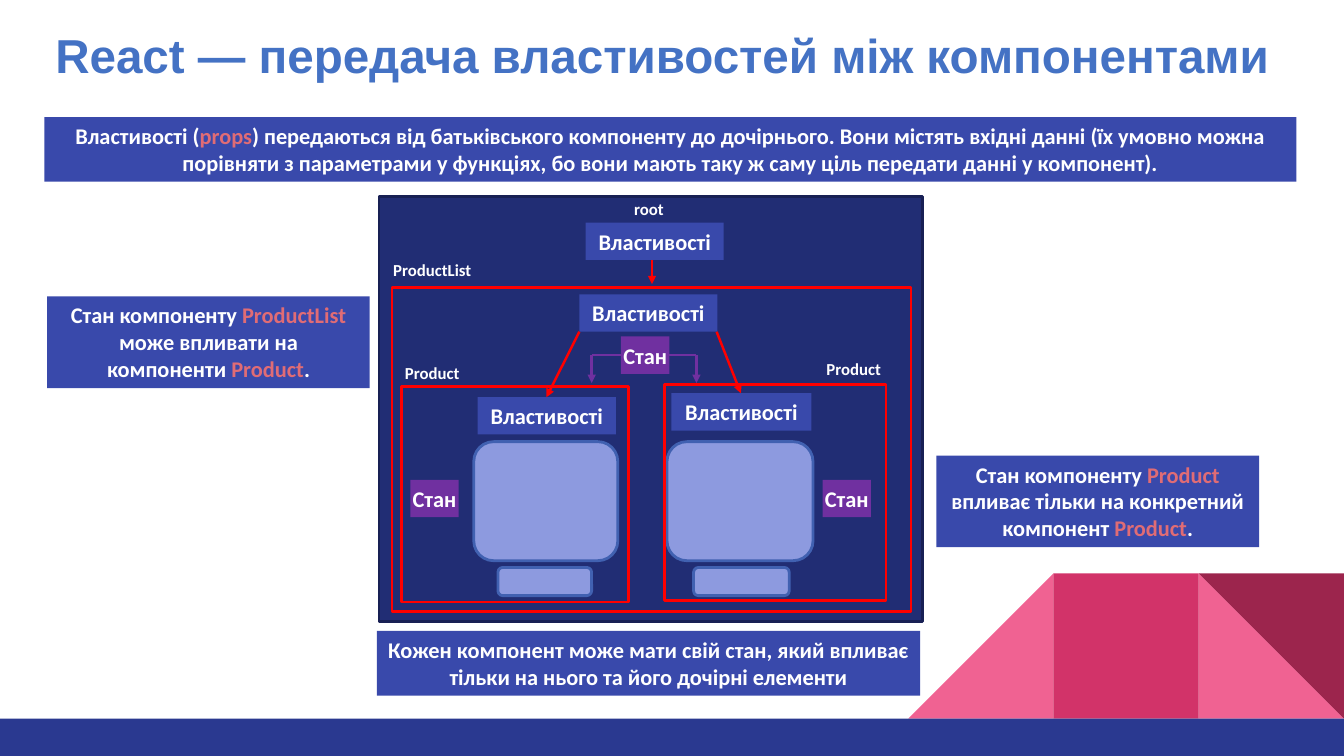
from lxml import etree
from pptx import Presentation
from pptx.dml.color import RGBColor
from pptx.enum.shapes import MSO_CONNECTOR, MSO_SHAPE
from pptx.enum.text import MSO_ANCHOR, MSO_AUTO_SIZE, PP_ALIGN
from pptx.oxml.ns import qn
from pptx.util import Cm, Pt

RECTANGLE = MSO_SHAPE.RECTANGLE
ROUNDED = MSO_SHAPE.ROUNDED_RECTANGLE
TRIANGLE = MSO_SHAPE.RIGHT_TRIANGLE

# Colours
WHITE, TITLE_BLUE, BOX_BLUE, BAND_BLUE = "FFFFFF", "4472C4", "3949AB", "2A3990"
CORAL, RED, PURPLE = "E06C75", "FF0000", "7030A0"
PANEL, PANEL_EDGE, SCREEN, SCREEN_EDGE = "212D74", "182054", "8D9ADF", "4161B1"
PINK, CRIMSON, MAROON = "F06292", "D23369", "9C254D"

# Content: lengths in centimetres, boxes as (left, top, width, height)
SLIDE_WIDTH, SLIDE_HEIGHT = 33.87, 19.05
TITLE = "React — передача властивостей між компонентами"
TITLE_BOX = (1.14, 0.33, 31.55, 2.26)

NOTES = [
    ((1.12, 2.95, 31.55, 1.63), [
        ("Властивості (", WHITE), ("props", CORAL),
        (") передаються від батьківського компоненту до дочірнього. "
         "Вони містять вхідні данні (їх умовно можна порівняти з параметрами "
         "у функціях, бо вони мають таку ж саму ціль передати данні "
         "у компонент).", WHITE)]),
    ((9.5, 15.9, 13.69, 1.63), [
        ("Кожен компонент може мати свій стан, який впливає тільки на нього "
         "та його дочірні елементи", WHITE)]),
    ((1.19, 7.47, 8.13, 2.31), [
        ("Стан компоненту ", WHITE), ("ProductList", CORAL),
        (" може впливати на компоненти ", WHITE), ("Product", CORAL),
        (".", WHITE)]),
    ((23.6, 11.48, 8.13, 2.31), [
        ("Стан компоненту ", WHITE), ("Product", CORAL),
        (" впливає тільки на конкретний компонент ", WHITE),
        ("Product", CORAL), (".", WHITE)]),
]

PANEL_BOX = (9.55, 4.95, 13.69, 10.72)
PRODUCT_PARTS = [
    (11.94, 11.13, 3.63, 3.0), (12.55, 14.3, 2.36, 0.71),
    (16.81, 11.13, 3.68, 3.0), (17.48, 14.3, 2.41, 0.71),
]
FRAMES = [
    (9.88, 7.24, 13.08, 8.18),
    (10.11, 9.73, 5.74, 5.44),
    (16.74, 9.7, 5.59, 5.44),
]
LABELS = [
    ("root", 15.57, 5.0, 1.57),
    ("ProductList", 9.88, 6.55, 2.03),
    ("Product", 10.11, 9.14, 1.57),
    ("Product", 20.73, 9.04, 1.57),
]
LABEL_HEIGHT, TAG_HEIGHT = 0.51, 0.94
PROPS_TEXT, STATE_TEXT = "Властивості", "Стан"
PROPS_TAGS = [(14.76, 5.61, 3.48), (14.6, 7.42, 3.48),
              (12.04, 10.01, 3.48), (16.92, 9.91, 3.53)]
STATE_TAGS = [(15.65, 8.48), (10.34, 12.09), (20.73, 12.09)]
STATE_WIDTH = 1.22
PROPS_ARROWS = [
    (16.43, 6.55, 16.43, 7.16),
    (14.6, 8.36, 13.77, 10.01),
    (18.06, 8.36, 18.67, 9.91),
]
STATE_BRANCHES = [(15.65, 14.91), (16.81, 17.55)]  # from tag edge to drop
BRANCH_TOP, BRANCH_BOTTOM = 8.94, 9.65


def color(value):
    return RGBColor.from_string(value)


def add_box(shapes, kind, box, fill=None, edge=None):
    shape = shapes.add_shape(kind, *[Cm(length) for length in box])
    shape.shadow.inherit = False
    if fill:
        shape.fill.solid()
        shape.fill.fore_color.rgb = color(fill)
    else:
        shape.fill.background()
    if edge:
        shape.line.color.rgb = color(edge)
        shape.line.width = Pt(2)
    else:
        shape.line.fill.background()
    return shape


def add_run(paragraph, text, size, font_name, font_color):
    run = paragraph.add_run()
    run.text = text
    run.font.size = Pt(size)
    run.font.name = font_name
    run.font.bold = True
    run.font.color.rgb = color(font_color)


def add_text_box(shapes, box, fill, runs, size=16, side=0.25, upright=0.13):
    frame = add_box(shapes, RECTANGLE, box, fill).text_frame
    frame.word_wrap = True
    frame.auto_size = MSO_AUTO_SIZE.SHAPE_TO_FIT_TEXT
    frame.vertical_anchor = MSO_ANCHOR.TOP
    frame.margin_left = frame.margin_right = Cm(side)
    frame.margin_top = frame.margin_bottom = Cm(upright)
    paragraph = frame.paragraphs[0]
    paragraph.alignment = PP_ALIGN.CENTER
    for text, font_color in runs:
        add_run(paragraph, text, size, "Calibri", font_color)


def add_line(shapes, ends, line_color, arrow=True):
    line = shapes.add_connector(MSO_CONNECTOR.STRAIGHT, *[Cm(end) for end in ends])
    line.line.color.rgb = color(line_color)
    line.line.width = Pt(1.75)
    if arrow:
        outline = line.line._get_or_add_ln()
        etree.SubElement(outline, qn("a:tailEnd"), type="triangle")
    etree.SubElement(line._element.spPr, qn("a:effectLst"))


def add_decoration(shapes):
    side, band_top = 3.66, 18.11
    tiles = [(1, TRIANGLE, PINK, 0), (3, TRIANGLE, PINK, 270),
             (2, RECTANGLE, CRIMSON, 0), (1, TRIANGLE, MAROON, 180)]
    for steps_from_right, kind, fill, rotation in tiles:
        left = SLIDE_WIDTH - steps_from_right * side
        tile = add_box(shapes, kind, (left, band_top - side, side, side), fill)
        tile.rotation = rotation
    band = (0, band_top, SLIDE_WIDTH, SLIDE_HEIGHT - band_top)
    add_box(shapes, RECTANGLE, band, BAND_BLUE)


def fill_title(title):
    title.left, title.top, title.width, title.height = map(Cm, TITLE_BOX)
    title.fill.solid()
    title.fill.fore_color.rgb = color(WHITE)
    frame = title.text_frame
    frame.word_wrap = True
    frame.auto_size = MSO_AUTO_SIZE.NONE
    frame.vertical_anchor = MSO_ANCHOR.MIDDLE
    paragraph = frame.paragraphs[0]
    paragraph.alignment = PP_ALIGN.LEFT
    paragraph.line_spacing = 0.9
    add_run(paragraph, TITLE, 34, "Arial", TITLE_BLUE)


def add_diagram(shapes):
    # Panel, product cards and component frames
    add_box(shapes, RECTANGLE, PANEL_BOX, PANEL, PANEL_EDGE)
    for box in PRODUCT_PARTS:
        add_box(shapes, ROUNDED, box, SCREEN, SCREEN_EDGE)
    for box in FRAMES:
        add_box(shapes, RECTANGLE, box, edge=RED)

    # Component names and property tags
    for text, left, top, width in LABELS:
        add_text_box(shapes, (left, top, width, LABEL_HEIGHT), PANEL,
                     [(text, WHITE)], size=12, side=0, upright=0)
    for box in PROPS_TAGS:
        add_text_box(shapes, (*box, TAG_HEIGHT), BOX_BLUE, [(PROPS_TEXT, WHITE)])

    # Property arrows, state tags and state branches
    for ends in PROPS_ARROWS:
        add_line(shapes, ends, RED)
    for left, top in STATE_TAGS:
        add_text_box(shapes, (left, top, STATE_WIDTH, TAG_HEIGHT), PURPLE,
                     [(STATE_TEXT, WHITE)], side=0)
    for start, drop in STATE_BRANCHES:
        add_line(shapes, (start, BRANCH_TOP, drop, BRANCH_TOP), PURPLE, arrow=False)
        add_line(shapes, (drop, BRANCH_TOP, drop, BRANCH_BOTTOM), PURPLE)


def main():
    presentation = Presentation()
    presentation.slide_width = Cm(SLIDE_WIDTH)
    presentation.slide_height = Cm(SLIDE_HEIGHT)
    slide = presentation.slides.add_slide(presentation.slide_layouts[5])
    fill_title(slide.shapes.title)
    add_decoration(slide.shapes.add_group_shape().shapes)
    add_diagram(slide.shapes.add_group_shape().shapes)
    for box, runs in NOTES:
        add_text_box(slide.shapes, box, BOX_BLUE, runs)
    presentation.save("out.pptx")


if __name__ == "__main__":
    main()
